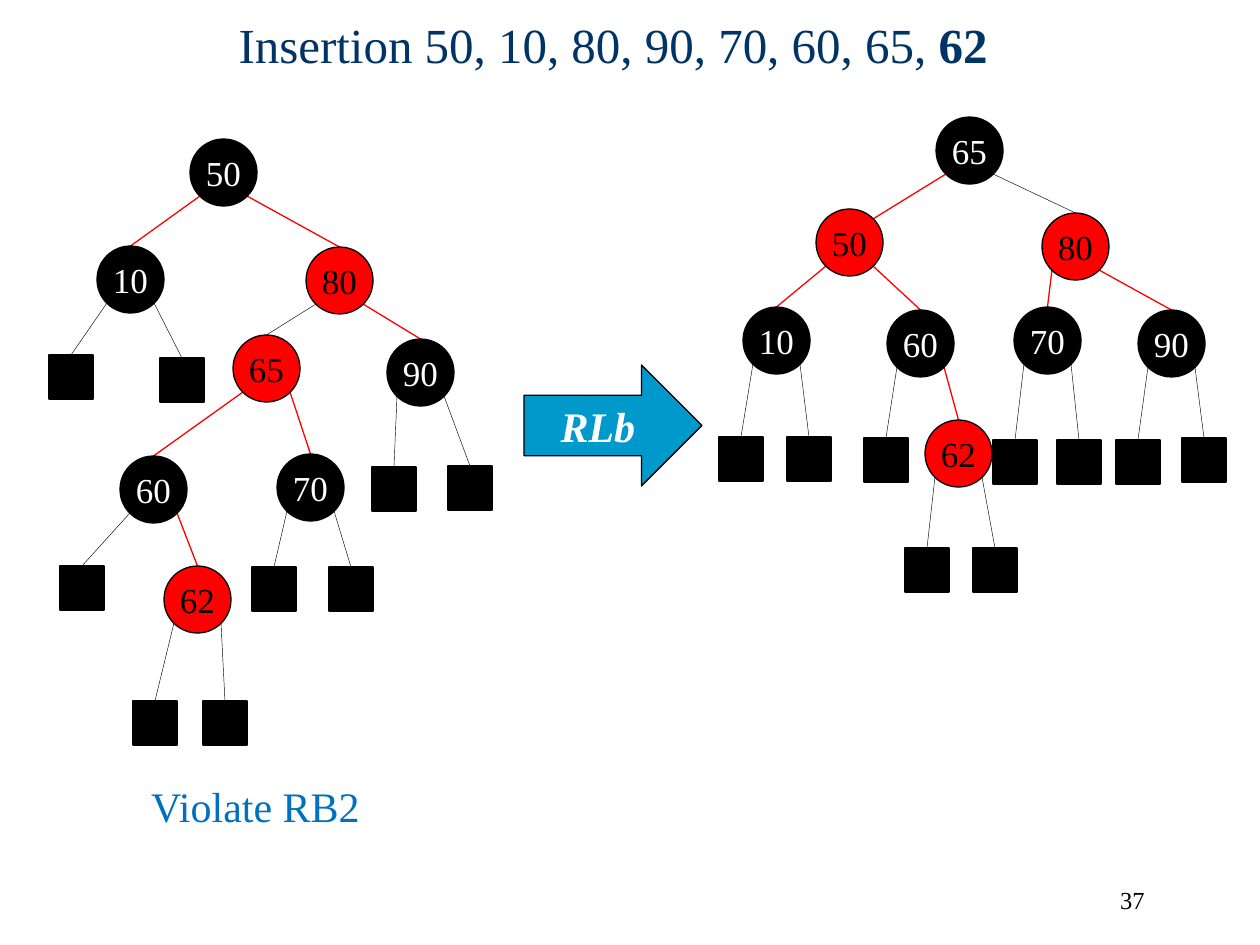
from dataclasses import dataclass
from typing import Any

from lxml.etree import SubElement
from pptx import Presentation
from pptx.dml.color import RGBColor
from pptx.enum.shapes import MSO_CONNECTOR, MSO_SHAPE
from pptx.enum.text import MSO_ANCHOR, PP_ALIGN
from pptx.oxml.ns import qn
from pptx.util import Pt

SCALE = 914400 / 126
NODE, LEAF, CORNER = 67, 44, 10


@dataclass(frozen=True)
class Theme:
    """Colours, font and sizes of the slide."""
    font: str = "Times New Roman"
    black: str = "000000"
    white: str = "FFFFFF"
    red: str = "FF0000"
    title: str = "003366"
    arrow: str = "0099CC"
    note: str = "0070C0"
    title_size: int = 28
    big_size: int = 24
    node_size: int = 20
    number_size: int = 14
    outline: float = 0.75
    hairline: float = 0.25


T = Theme()


@dataclass
class Node:
    """Tree node by its top left corner; a node without a label is a leaf."""
    x: int
    y: int
    label: str = ""
    fill: str = T.black
    edge: str = T.black
    left: Any = None
    right: Any = None
    joins_corner: bool = False


def px(n):
    """Turn pixels into EMU."""
    return round(n * SCALE)


def box(x, y, w, h):
    """Turn a pixel box into EMU."""
    return [px(v) for v in (x, y, w, h)]


def add_runs(tf, runs, size, color, align=PP_ALIGN.CENTER):
    """Write (text, extra format) runs into one paragraph."""
    p = tf.paragraphs[0]
    p.alignment = align
    for text, extra in runs:
        r = p.add_run()
        r.text = text
        r.font.color.rgb = RGBColor.from_string(color)
        fmt = {"name": T.font, "size": Pt(size), **extra}
        for key, value in fmt.items():
            setattr(r.font, key, value)


def add_text(shapes, area, runs, size, color, align=PP_ALIGN.CENTER, anchor=MSO_ANCHOR.TOP):
    """Add a wrapping text box."""
    tf = shapes.add_textbox(*box(*area)).text_frame
    tf.word_wrap = True
    tf.vertical_anchor = anchor
    add_runs(tf, runs, size, color, align)


def add_shape(shapes, kind, area, fill, runs=(), size=T.node_size, color=T.white):
    """Add a filled, outlined shape with optional centred text."""
    sp = shapes.add_shape(kind, *box(*area))
    sp.shadow.inherit = False
    sp.fill.solid()
    sp.fill.fore_color.rgb = RGBColor.from_string(fill)
    sp.line.color.rgb = RGBColor.from_string(T.black)
    sp.line.width = Pt(T.outline)
    if runs:
        tf = sp.text_frame
        tf.word_wrap = False
        tf.vertical_anchor = MSO_ANCHOR.MIDDLE
        add_runs(tf, runs, size, color)


def add_edge(shapes, start, end, color):
    """Add a tree edge, heavier when it is red."""
    c = shapes.add_connector(MSO_CONNECTOR.STRAIGHT, *[px(v) for v in (*start, *end)])
    c.line.color.rgb = RGBColor.from_string(color)
    c.line.width = Pt(T.outline if color == T.red else T.hairline)
    SubElement(c._element.spPr, qn("a:effectLst"))


def add_tree(shapes, node):
    """Add a node, its edges and its subtrees."""
    if not node.label:
        add_shape(shapes, MSO_SHAPE.RECTANGLE, (node.x, node.y, LEAF, LEAF), node.fill)
        return
    far = NODE - CORNER
    for child, dx in ((node.left, CORNER), (node.right, far)):
        width = NODE if child.label else LEAF
        end = (child.x + width / 2, child.y)
        if child.joins_corner:
            end = (child.x + far, child.y + CORNER)
        add_edge(shapes, (node.x + dx, node.y + far), end, child.edge)
        add_tree(shapes, child)
    color = T.black if node.fill == T.red else T.white
    add_shape(shapes, MSO_SHAPE.OVAL, (node.x, node.y, NODE, NODE), node.fill,
              [(node.label, {})], color=color)


def tree_before():
    """Return the tree before the rotation."""
    n62 = Node(164, 566, "62", T.red, T.red, Node(133, 701), Node(203, 701))
    n60 = Node(120, 456, "60", T.black, T.red, Node(60, 566), n62)
    n70 = Node(277, 454, "70", T.black, T.red, Node(252, 567), Node(329, 567))
    n65 = Node(233, 335, "65", T.red, T.black, n60, n70)
    n90 = Node(387, 339, "90", T.black, T.red, Node(372, 467), Node(448, 466))
    n80 = Node(306, 247, "80", T.red, T.red, n65, n90)
    n10 = Node(97, 246, "10", T.black, T.red, Node(49, 355), Node(160, 358))
    return Node(190, 139, "50", left=n10, right=n80)


def tree_after():
    """Return the tree after the rotation."""
    n62 = Node(925, 420, "62", T.red, T.red, Node(905, 548), Node(973, 548))
    n60 = Node(887, 310, "60", T.black, T.red, Node(864, 438), n62)
    n10 = Node(743, 307, "10", T.black, T.red, Node(719, 437), Node(787, 437))
    n50 = Node(816, 209, "50", T.red, T.red, n10, n60, joins_corner=True)
    n70 = Node(1014, 307, "70", T.black, T.red, Node(993, 440), Node(1057, 440))
    n90 = Node(1138, 310, "90", T.black, T.red, Node(1116, 440), Node(1182, 438))
    n80 = Node(1042, 213, "80", T.red, T.black, n70, n90)
    return Node(936, 117, "65", left=n50, right=n80)


def main():
    """Build and save the slide."""
    prs = Presentation()
    prs.slide_width, prs.slide_height = px(1260), px(945)
    s = prs.slides.add_slide(prs.slide_layouts[6])
    add_text(s.shapes, (895, 879, 262, 63), [("37", {})], T.number_size, T.black, PP_ALIGN.RIGHT)
    title = [("Insertion 50, 10, 80, 90, 70, 60, 65, ", {}), ("62", {"bold": True})]
    add_text(s.shapes, (43, -35, 1140, 158), title, T.title_size, T.title,
             anchor=MSO_ANCHOR.MIDDLE)
    add_shape(s.shapes, MSO_SHAPE.RIGHT_ARROW, (524, 365, 178, 121), T.arrow,
              [("RLb", {"bold": True, "italic": True})], T.big_size)
    for root in (tree_before(), tree_after()):
        add_tree(s.shapes.add_group_shape().shapes, root)
    add_text(s.shapes, (134, 774, 243, 63), [("Violate RB2", {})], T.big_size, T.note)
    prs.save("out.pptx")


if __name__ == "__main__":
    main()
